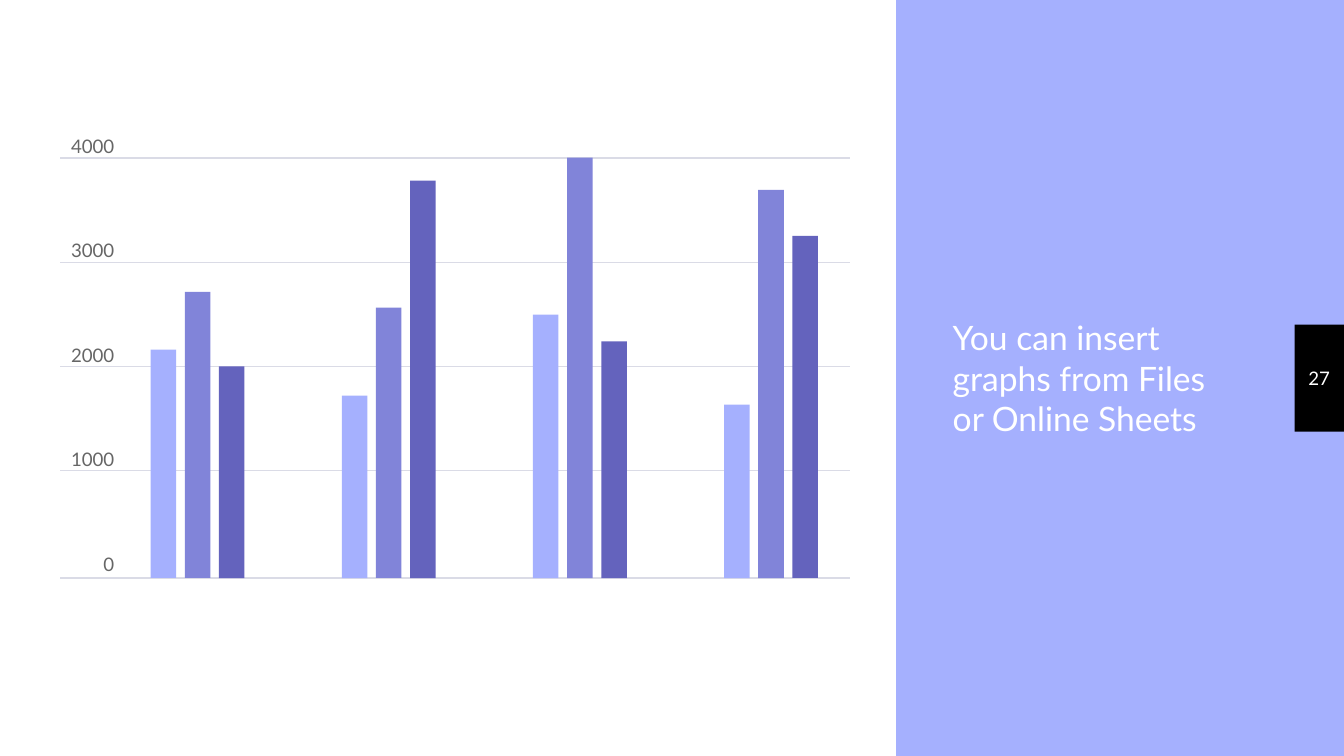
from dataclasses import dataclass

from lxml.etree import SubElement
from pptx import Presentation
from pptx.dml.color import RGBColor
from pptx.enum.shapes import MSO_CONNECTOR, MSO_SHAPE
from pptx.enum.text import MSO_ANCHOR, PP_ALIGN
from pptx.oxml.ns import qn
from pptx.util import Pt


@dataclass(frozen=True)
class Theme:
    font: str = "Lato"
    white: str = "FFFFFF"
    black: str = "000000"
    grey: str = "666666"
    grid: str = "DADBE6"
    bars: tuple = ("A5B0FE", "8184D9", "6463BD")
    title: int = 18
    small: int = 10


theme = Theme()
deck = Presentation()
deck.slide_width, deck.slide_height = Pt(720), Pt(405)
slide = deck.slides.add_slide(deck.slide_layouts[6])
back = slide.background.fill
back.solid()
back.fore_color.rgb = RGBColor.from_string(theme.bars[0])


def add_text(lines, box, size=theme.small, color=theme.white, align=PP_ALIGN.LEFT,
             anchor=MSO_ANCHOR.MIDDLE, inset=7.2, gap=0):
    """Add a text box; gap is the space before each line after the first."""
    frame = slide.shapes.add_textbox(*map(Pt, box)).text_frame
    frame.word_wrap = True
    frame.vertical_anchor = anchor
    frame.margin_left = frame.margin_right = Pt(inset)
    frame.margin_top = frame.margin_bottom = Pt(inset)
    for i, line in enumerate(lines):
        para = frame.paragraphs[0] if i == 0 else frame.add_paragraph()
        para.alignment = align
        para.space_before = Pt(gap if i else 0)
        run = para.add_run()
        run.text = line
        run.font.name = theme.font
        run.font.size = Pt(size)
        run.font.color.rgb = RGBColor.from_string(color)


def add_rect(box, color):
    rect = slide.shapes.add_shape(MSO_SHAPE.RECTANGLE, *map(Pt, box))
    rect.shadow.inherit = False
    rect.fill.solid()
    rect.fill.fore_color.rgb = RGBColor.from_string(color)
    rect.line.fill.background()


# Panel, page tab and message
tab = (693.5, 173.9, 26.5, 57.4)
add_rect(tab, theme.black)
add_rect((0, 0, 480, 405), theme.white)
add_text(["You can insert graphs from Files or Online Sheets"],
         (503.3, 34.6, 167, 335.5), size=theme.title)
add_text(["27"], tab, align=PP_ALIGN.CENTER)

# Grid and axis labels
left, right, base = 32.4, 455.6, 309.7
for y in (84.6, 140.6, 196.4, 252.1, base):
    line = slide.shapes.add_connector(
        MSO_CONNECTOR.STRAIGHT, Pt(left), Pt(y), Pt(right), Pt(y))
    line.line.color.rgb = RGBColor.from_string(theme.grid)
    line.line.width = Pt(0.75)
    SubElement(line._element.spPr, qn("a:effectLst"))
add_text([str(n) for n in range(4000, -1, -1000)], (left, 72, 28.8, 238),
         color=theme.grey, align=PP_ALIGN.RIGHT, anchor=MSO_ANCHOR.TOP,
         inset=0, gap=44)

# Bars: heights in points, one row per group
groups = [
    (122.3, 153.3, 113.4),
    (97.7, 144.8, 212.9),
    (141.1, 225.2, 126.8),
    (92.9, 208, 183.3),
]
start, group_step, bar_step, width = 80.7, 102.4, 18.3, 13.7
for g, group in enumerate(groups):
    for b, (tall, color) in enumerate(zip(group, theme.bars)):
        x = start + g * group_step + b * bar_step
        add_rect((x, base - tall, width, tall), color)

deck.save("out.pptx")
